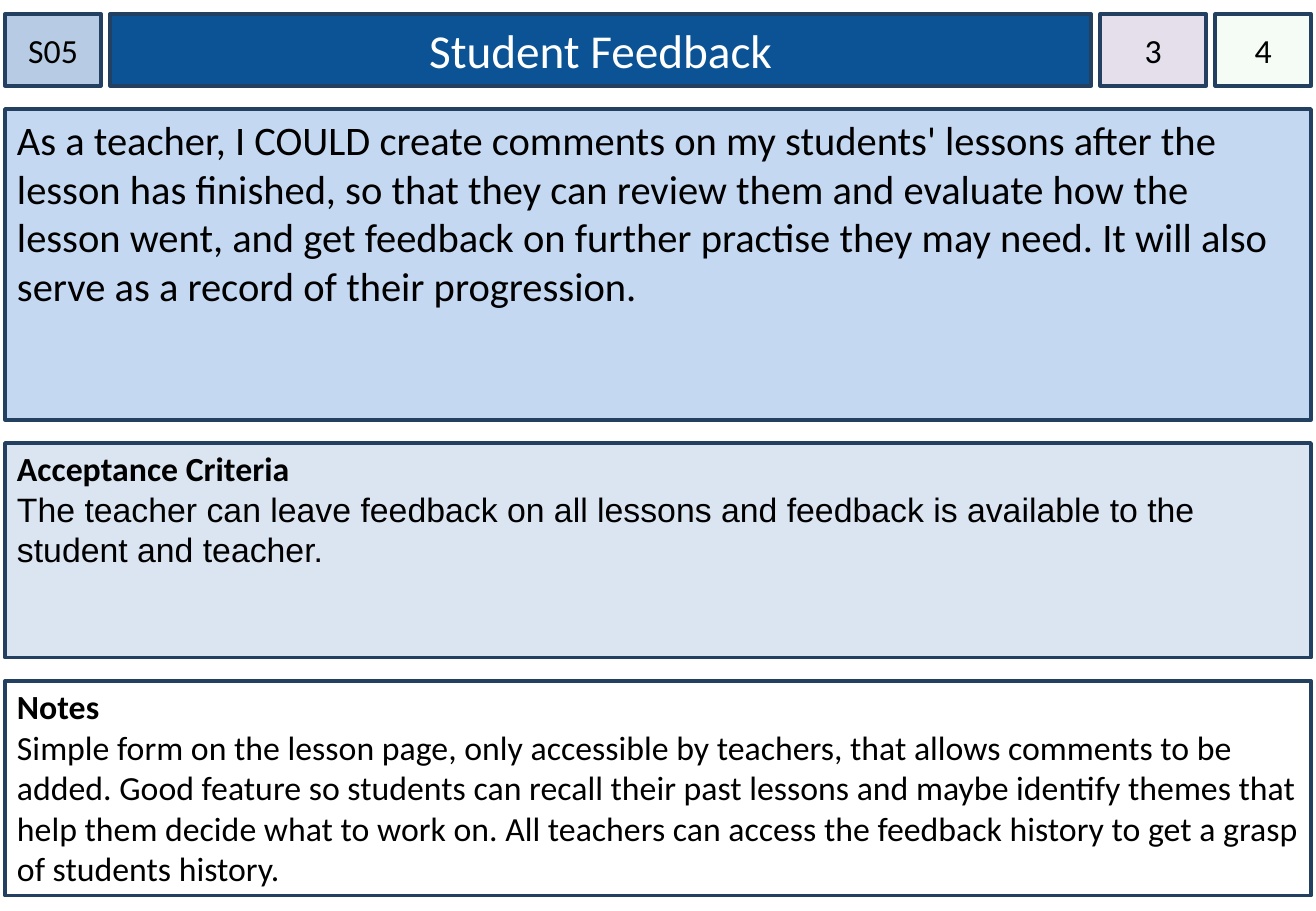
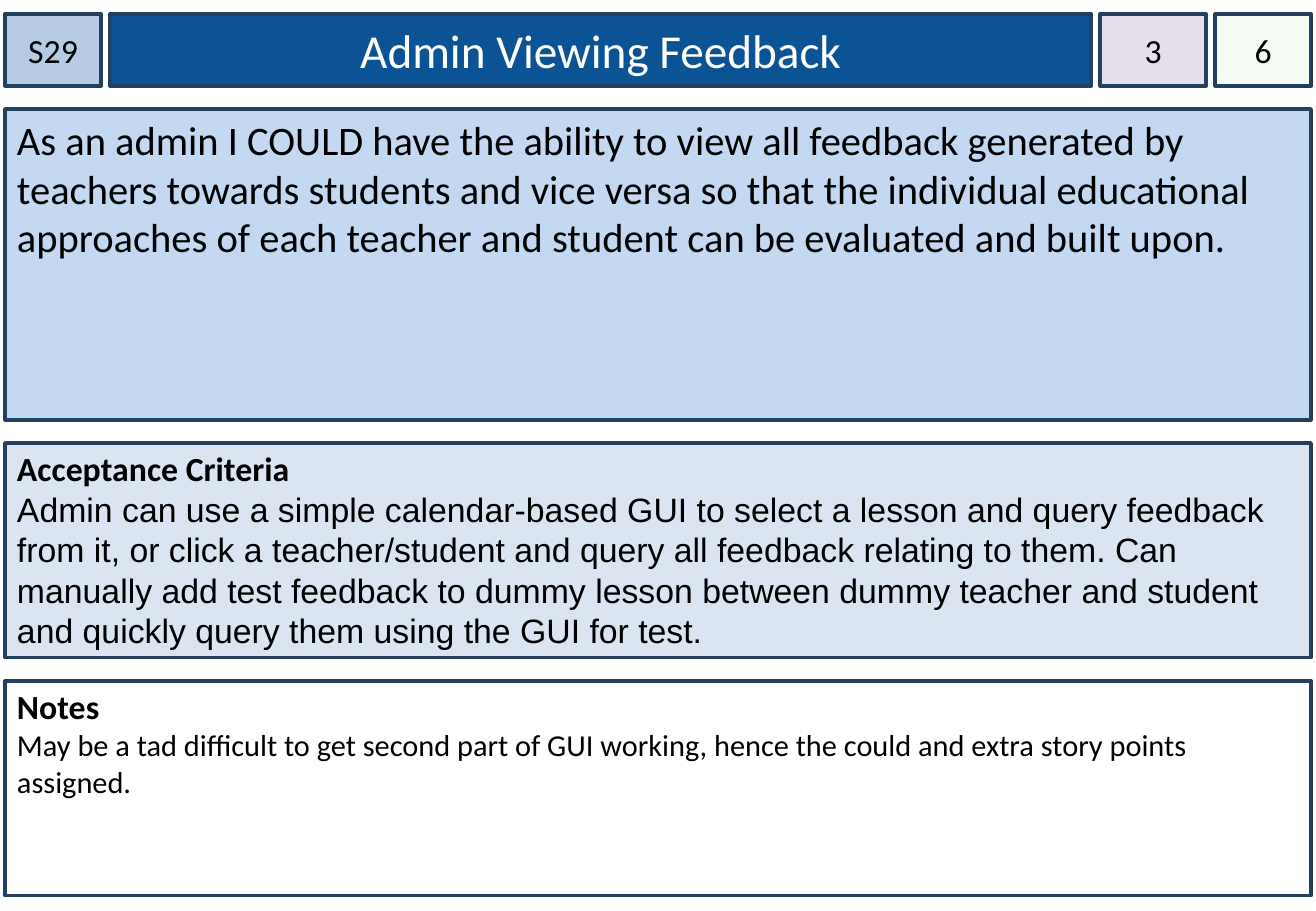
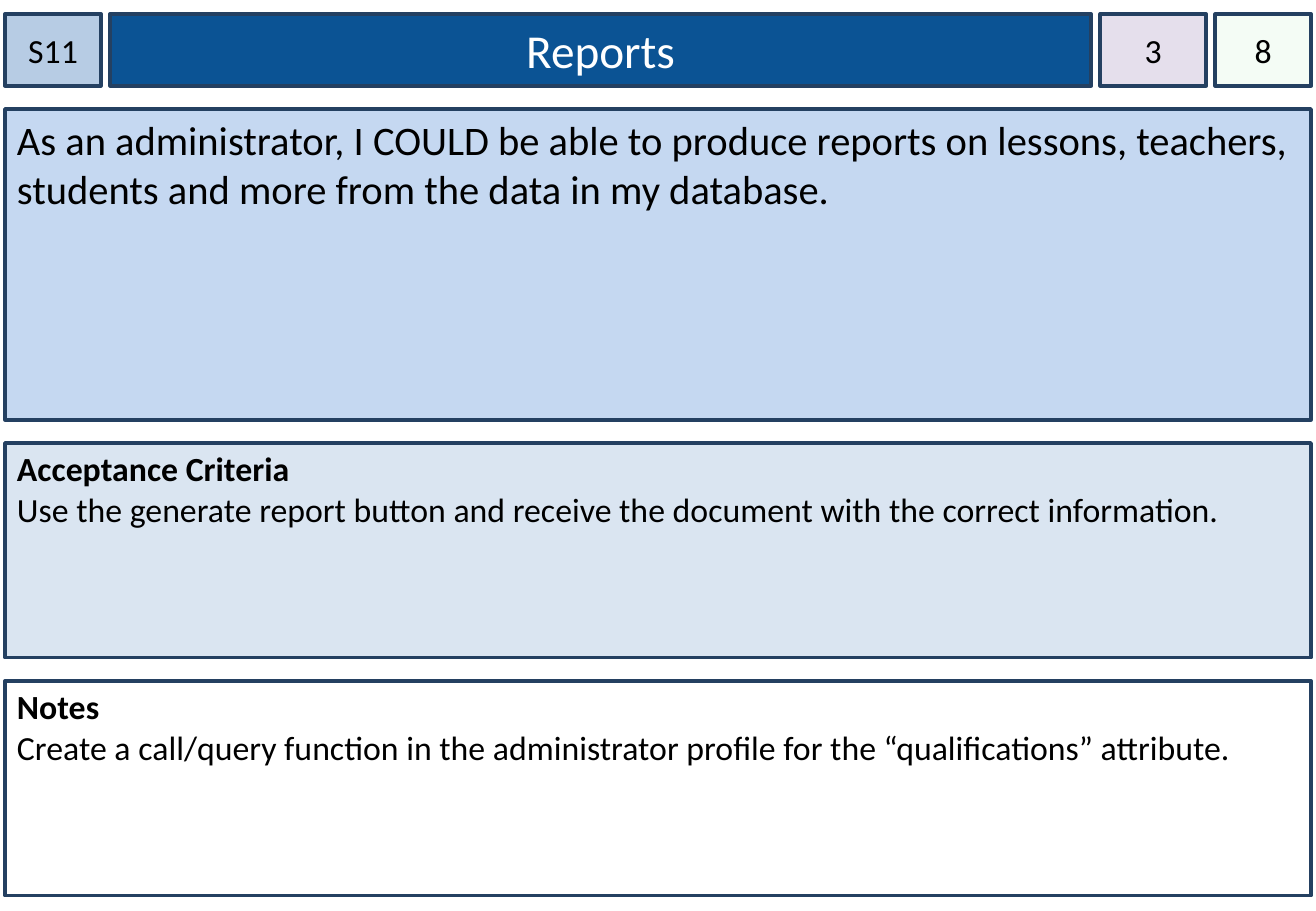
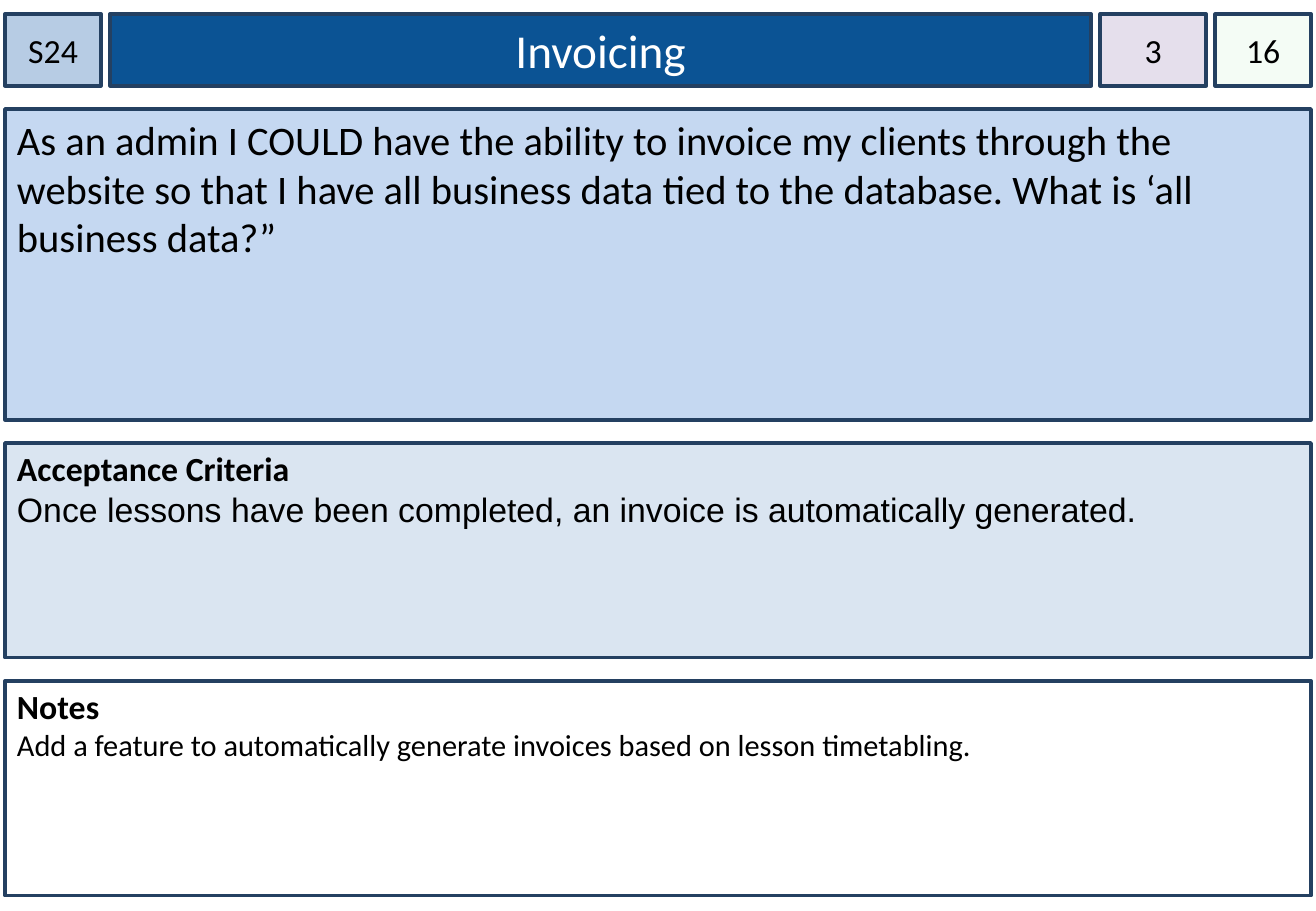
from dataclasses import dataclass

import lxml.etree
import pptx
import pptx.dml.color
import pptx.enum.shapes
import pptx.enum.text
import pptx.oxml.ns
import pptx.util

SCALE = 914400 / 121.5  # EMU in one pixel
COLORS = {
    "border": "244061",
    "text": "000000",
    "title": "0B5394",
    "title text": "FFFFFF",
    "number": "B7CCE4",
    "priority": "E5DFEC",
    "points": "CCF0CD",
    "story": "C5D8F1",
    "criteria": "DAE5F1",
    "remarks": "FFFFFF",
}
TITLE_ONLY = 5
MARGIN, TOP, WIDTH = 5, 14, 1306
HEADER_HEIGHT, HEADER_GAP = 72, 9
PANEL_GAP = 23
STORY_HEIGHT, DETAIL_HEIGHT = 311, 215
NUMBER_WIDTH, PRIORITY_WIDTH, POINTS_WIDTH = 96, 106, 96


@dataclass
class Story:
    """The content of one story card."""
    number: str
    title: str
    priority: str
    points: str
    story: str
    criteria: str
    remarks: str
    criteria_font: str = "Arial"
    remarks_size: int = 20


STORIES = [
    Story(
        "S05", "Student Feedback", "3", "4",
        "As a teacher, I COULD create comments on my students' lessons after the "
        "lesson has finished, so that they can review them and evaluate how the "
        "lesson went, and get feedback on further practise they may need. It will "
        "also serve as a record of their progression.",
        "The teacher can leave feedback on all lessons and feedback is available "
        "to the student and teacher.",
        "Simple form on the lesson page, only accessible by teachers, that allows "
        "comments to be added. Good feature so students can recall their past "
        "lessons and maybe identify themes that help them decide what to work on. "
        "All teachers can access the feedback history to get a grasp of students "
        "history."),
    Story(
        "S29", "Admin Viewing Feedback", "3", "6",
        "As an admin I COULD have the ability to view all feedback generated by "
        "teachers towards students and vice versa so that the individual "
        "educational approaches of each teacher and student can be evaluated and "
        "built upon.",
        "Admin can use a simple calendar-based GUI to select a lesson and query "
        "feedback from it, or click a teacher/student and query all feedback "
        "relating to them. Can manually add test feedback to dummy lesson between "
        "dummy teacher and student and quickly query them using the GUI for test.",
        "May be a tad difficult to get second part of GUI working, hence the could "
        "and extra story points assigned.",
        remarks_size=18),
    Story(
        "S11", "Reports", "3", "8",
        "As an administrator, I COULD be able to produce reports on lessons, "
        "teachers, students and more from the data in my database.",
        "Use the generate report button and receive the document with the correct "
        "information.",
        "Create a call/query function in the administrator profile for the "
        "“qualifications” attribute.",
        criteria_font="Calibri"),
    Story(
        "S24", "Invoicing", "3", "16",
        "As an admin I COULD have the ability to invoice my clients through the "
        "website so that I have all business data tied to the database. What is "
        "‘all business data?”",
        "Once lessons have been completed, an invoice is automatically generated.",
        "Add a feature to automatically generate invoices based on lesson "
        "timetabling.",
        remarks_size=18),
]


def px(length):
    """Turn pixels into EMU."""
    return pptx.util.Emu(round(length * SCALE))


def rgb(name):
    """Look up a named colour."""
    return pptx.dml.color.RGBColor.from_string(COLORS[name])


def style_box(shape, fill, side_inset, top_inset, anchor):
    """Give a shape the shared border, a fill and text margins."""
    shape.fill.solid()
    shape.fill.fore_color.rgb = rgb(fill)
    shape.line.color.rgb = rgb("border")
    shape.line.width = pptx.util.Pt(2)
    frame = shape.text_frame
    frame.word_wrap = True
    frame.auto_size = pptx.enum.text.MSO_AUTO_SIZE.NONE
    frame.vertical_anchor = anchor
    frame.margin_left = frame.margin_right = px(side_inset)
    frame.margin_top, frame.margin_bottom = px(top_inset), px(6)


def write(para, text, size, font="Calibri", bold=False, color="text", centred=False):
    """Set the text of a paragraph and format its run."""
    para.text = text
    align = pptx.enum.text.PP_ALIGN
    para.alignment = align.CENTER if centred else align.LEFT
    span = para.runs[0]
    span.font.name = font
    span.font.size = pptx.util.Pt(size)
    span.font.bold = bold
    span.font.color.rgb = rgb(color)


def add_box(page, box, fill, side_inset, top_inset, anchor):
    """Add a bordered rectangle at box (left, top, width, height)."""
    shape = page.shapes.add_shape(
        pptx.enum.shapes.MSO_SHAPE.RECTANGLE, *map(px, box))
    shape.shadow.inherit = False
    style_box(shape, fill, side_inset, top_inset, anchor)
    return shape


def add_badge(page, box, fill, text):
    """Add a small header box with a centred value."""
    badge = add_box(page, box, fill, 0, 6, pptx.enum.text.MSO_ANCHOR.MIDDLE)
    write(badge.text_frame.paragraphs[0], text, 20, centred=True)
    return badge


def set_opacity(shape, percent):
    """Make the solid fill of a shape partly transparent."""
    qn = pptx.oxml.ns.qn
    fill = shape.element.spPr.find(qn("a:solidFill"))
    color = fill.find(qn("a:srgbClr"))
    lxml.etree.SubElement(color, qn("a:alpha")).set("val", str(percent * 1000))


def place_title(page, box, text):
    """Move and format the title placeholder."""
    title = page.shapes.title
    title.left, title.top, title.width, title.height = map(px, box)
    style_box(title, "title", 12, 6, pptx.enum.text.MSO_ANCHOR.MIDDLE)
    write(title.text_frame.paragraphs[0], text, 28, color="title text", centred=True)


def add_header(page, box, story):
    """Fill the header row: number, title, priority and points."""
    left, top, width, height = box
    badge_widths = NUMBER_WIDTH + PRIORITY_WIDTH + POINTS_WIDTH
    title_width = width - badge_widths - 3 * HEADER_GAP
    cells = []
    for cell_width in (NUMBER_WIDTH, title_width, PRIORITY_WIDTH, POINTS_WIDTH):
        cells.append((left, top, cell_width, height))
        left += cell_width + HEADER_GAP
    number_cell, title_cell, priority_cell, points_cell = cells
    add_badge(page, number_cell, "number", story.number)
    place_title(page, title_cell, story.title)
    add_badge(page, priority_cell, "priority", story.priority)
    set_opacity(add_badge(page, points_cell, "points", story.points), 20)


def add_story_panel(page, box, text):
    """Add the large panel that states the user story."""
    panel = add_box(page, box, "story", 12, 6, pptx.enum.text.MSO_ANCHOR.TOP)
    write(panel.text_frame.paragraphs[0], text, 24)


def add_detail_panel(page, box, fill, heading, text, size=20, font="Calibri"):
    """Add a panel with a bold heading above its text."""
    panel = add_box(page, box, fill, 12, 5, pptx.enum.text.MSO_ANCHOR.TOP)
    write(panel.text_frame.paragraphs[0], heading, 20, bold=True)
    write(panel.text_frame.add_paragraph(), text, size, font)


def add_card(deck, story):
    """Add one slide with a header and three stacked panels."""
    page = deck.slides.add_slide(deck.slide_layouts[TITLE_ONLY])
    rows, top = [], TOP
    for height in (HEADER_HEIGHT, STORY_HEIGHT, DETAIL_HEIGHT, DETAIL_HEIGHT):
        rows.append((MARGIN, top, WIDTH, height))
        top += height + PANEL_GAP
    header_row, story_row, criteria_row, remarks_row = rows
    add_header(page, header_row, story)
    add_story_panel(page, story_row, story.story)
    add_detail_panel(page, criteria_row, "criteria", "Acceptance Criteria",
                     story.criteria, font=story.criteria_font)
    add_detail_panel(page, remarks_row, "remarks", "Notes",
                     story.remarks, size=story.remarks_size)


def main():
    """Build the deck of story cards."""
    deck = pptx.Presentation()
    deck.slide_width = pptx.util.Inches(10.83)
    deck.slide_height = pptx.util.Inches(7.5)
    for story in STORIES:
        add_card(deck, story)
    deck.save("out.pptx")


main()
